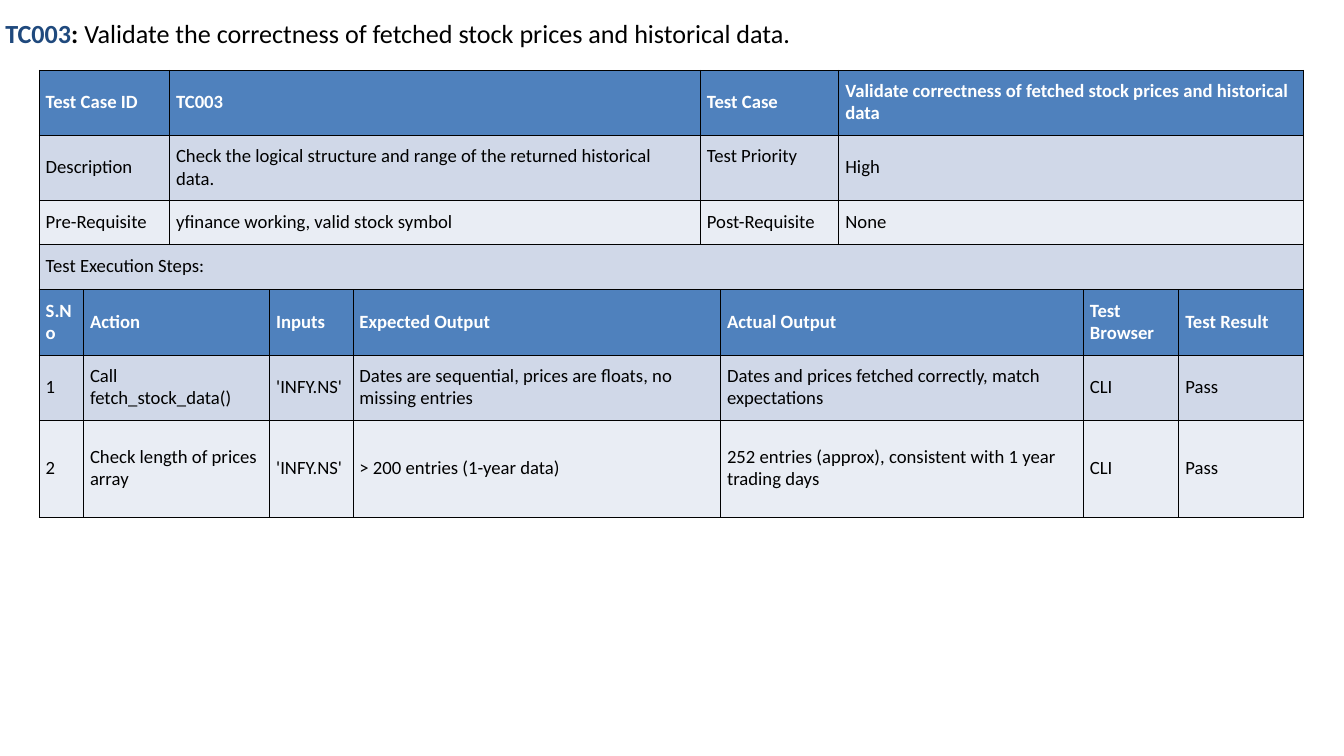
import pptx
import pptx.util
import pptx.dml.color
import pptx.enum.text
import lxml.etree
from pptx.oxml.ns import qn

WIDE, HIGH = 20, 11.25
LEFT = 0.58
PAD = 0.1
LINE = 24
HUES = {
    "head": "4F81BD",
    "odd": "D0D8E8",
    "even": "E9EDF4",
    "navy": "1F497D",
    "black": "000000",
    "white": "FFFFFF",
}

CASE = [
    ["Test Case ID", "TC003", "Test Case",
     "Validate correctness of fetched stock prices and historical data"],
    ["Description",
     "Check the logical structure and range of the returned historical data.",
     "Test Priority", "High"],
    ["Pre-Requisite", "yfinance working, valid stock symbol",
     "Post-Requisite", "None"],
    ["Test Execution Steps:"],
]
STEPS = [
    ["S.No", "Action", "Inputs", "Expected Output", "Actual Output",
     "Test Browser", "Test Result"],
    ["1", "Call fetch_stock_data()", "'INFY.NS'",
     "Dates are sequential, prices are floats, no missing entries",
     "Dates and prices fetched correctly, match expectations", "CLI", "Pass"],
    ["2", "Check length of prices array", "'INFY.NS'",
     "> 200 entries (1-year data)",
     "252 entries (approx), consistent with 1 year trading days",
     "CLI", "Pass"],
]


def inch(size):
    return pptx.util.Inches(size)


def tint(name):
    return pptx.dml.color.RGBColor.from_string(HUES[name])


def write(para, text, size=20, hue="black", bold=False):
    run = para.add_run()
    run.text = text
    run.font.name = "Calibri"
    run.font.size = pptx.util.Pt(size)
    run.font.bold = bold
    run.font.color.rgb = tint(hue)


def edge(cell):
    """Draw a thin black line on all four sides of a cell."""
    props = cell._tc.get_or_add_tcPr()
    for side in ("lnL", "lnR", "lnT", "lnB"):
        line = lxml.etree.SubElement(props, qn("a:" + side), w="4700")
        fill = lxml.etree.SubElement(line, qn("a:solidFill"))
        lxml.etree.SubElement(fill, qn("a:srgbClr"), val=HUES["black"])


def style(cell, hue):
    edge(cell)
    cell.fill.solid()
    cell.fill.fore_color.rgb = tint(hue)
    cell.vertical_anchor = pptx.enum.text.MSO_ANCHOR.MIDDLE
    cell.margin_left = cell.margin_right = inch(PAD)
    cell.margin_top = cell.margin_bottom = inch(PAD)


def add_grid(slide, top, cols, rows, data):
    """Add a table with a blue head row; a short row spans the full width."""
    frame = slide.shapes.add_table(
        len(rows), len(cols), inch(LEFT), inch(top),
        inch(sum(cols)), inch(sum(rows)))
    table = frame.table
    for col, width in zip(table.columns, cols):
        col.width = inch(width)
    for r, (height, texts) in enumerate(zip(rows, data)):
        table.rows[r].height = inch(height)
        hue = "head" if r == 0 else "odd" if r % 2 else "even"
        for c in range(len(cols)):
            style(table.cell(r, c), hue)
        if len(texts) == 1:
            table.cell(r, 0).merge(table.cell(r, len(cols) - 1))
        for c, text in enumerate(texts):
            para = table.cell(r, c).text_frame.paragraphs[0]
            para.line_spacing = pptx.util.Pt(LINE)
            write(para, text, hue="black" if r else "white", bold=r == 0)
    return table


def add_title(slide):
    box = slide.shapes.add_textbox(
        inch(0.08), inch(0.04), inch(13.83), inch(0.88))
    frame = box.text_frame
    frame.word_wrap = True
    frame.margin_left = frame.margin_right = 0
    frame.margin_top = frame.margin_bottom = 0
    para = frame.paragraphs[0]
    para.alignment = pptx.enum.text.PP_ALIGN.JUSTIFY
    para.line_spacing = pptx.util.Pt(49)
    write(para, "TC003", size=28, hue="navy", bold=True)
    write(para, ": ", size=28, bold=True)
    write(para, "Validate the correctness of fetched stock prices "
                "and historical data.", size=28)


def main():
    deck = pptx.Presentation()
    deck.slide_width, deck.slide_height = inch(WIDE), inch(HIGH)
    slide = deck.slides.add_slide(deck.slide_layouts[6])
    case = add_grid(slide, 1.04, [1.94, 7.9, 2.06, 6.92],
                    [0.97, 0.97, 0.65, 0.68], CASE)
    # The priority label sits on the first of two lines.
    case.cell(1, 2).margin_bottom = inch(PAD + LINE / 72)
    add_grid(slide, 4.31, [0.66, 2.77, 1.24, 5.47, 5.4, 1.42, 1.86],
             [0.97, 0.97, 1.44], STEPS)
    add_title(slide)
    deck.save("out.pptx")


if __name__ == "__main__":
    main()
